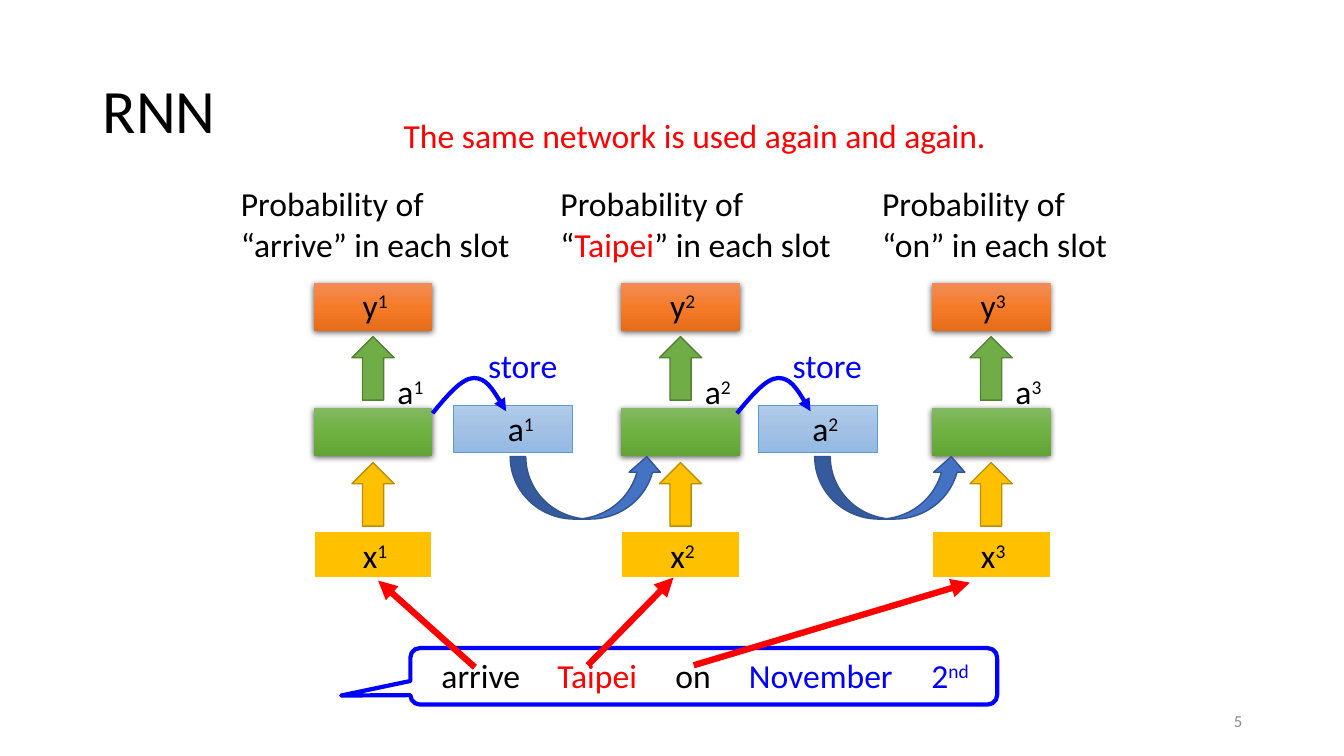
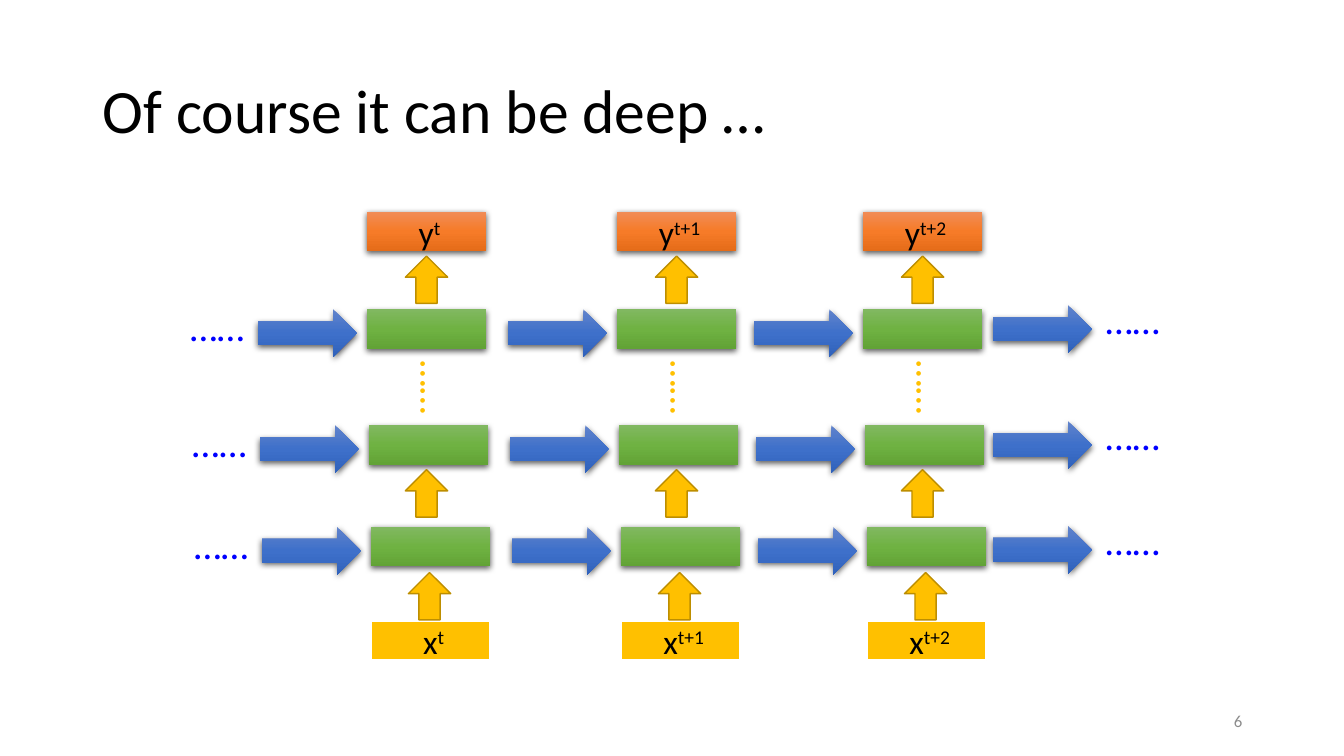
from copy import deepcopy

from lxml import etree
from pptx import Presentation
from pptx.dml.color import RGBColor
from pptx.enum.shapes import MSO_CONNECTOR, MSO_SHAPE
from pptx.enum.text import MSO_ANCHOR, PP_ALIGN
from pptx.oxml.ns import qn
from pptx.util import Inches, Pt

RECT = MSO_SHAPE.RECTANGLE
UP_ARROW = MSO_SHAPE.UP_ARROW
RIGHT_ARROW = MSO_SHAPE.RIGHT_ARROW
CURVED_ARROW = MSO_SHAPE.CURVED_UP_ARROW
CALLOUT = MSO_SHAPE.ROUNDED_RECTANGULAR_CALLOUT
STRAIGHT = MSO_CONNECTOR.STRAIGHT
LEFT, CENTER, RIGHT = PP_ALIGN.LEFT, PP_ALIGN.CENTER, PP_ALIGN.RIGHT
MIDDLE = MSO_ANCHOR.MIDDLE

rgb = RGBColor.from_string
FONT = "Calibri"
BLACK, RED, BLUE, AMBER, GREY = "000000", "FF0000", "0000FF", "FFC000", "8C8C8C"

# Block styles: fill colours, outline (colour, points), shadow
INPUT = ([AMBER], ("FFFFFF", 1.5), False)
HIDDEN = (["81B861", "6FB242", "62A336"], None, True)
OUTPUT = (["F18C57", "F67B28", "E56C19"], None, True)
MEMORY = (["B1CBE9", "A3C1E5", "93B9E4"], ("5B9BD5", 0.5), False)
TIME_STEP = (["6183CB", "3E70CA", "3062BB"], None, True)
INPUT_ARROW = ([AMBER], ("BD8E00", 1), False)
OUTPUT_ARROW = (["70AD47"], ("538035", 1), False)
RECALL_ARROW = (["4472C4"], ("325491", 1), False)
SPEECH = ([], (BLUE, 3), False)


def add_block(slide, preset, box, style):
    """Add a preset shape; box is left, top, width, height in inches."""
    colours, outline, shadow = style
    block = slide.shapes.add_shape(preset, *[Inches(v) for v in box])
    block.shadow.inherit = False
    properties = block._element.spPr
    if len(colours) == 1:
        block.fill.solid()
        block.fill.fore_color.rgb = rgb(colours[0])
    elif colours:
        block.fill.gradient()
        block.fill.gradient_angle = 270
        stops = properties.find(qn("a:gradFill")).find(qn("a:gsLst"))
        stops.append(deepcopy(stops[0]))
        for stop, colour, position in zip(block.fill.gradient_stops, colours, (0, 0.5, 1)):
            stop.position = position
            stop.color.rgb = rgb(colour)
    else:
        block.fill.background()
    if outline:
        block.line.color.rgb = rgb(outline[0])
        block.line.width = Pt(outline[1])
    else:
        block.line.fill.background()
    if shadow:
        outer = etree.SubElement(
            properties.find(qn("a:effectLst")), qn("a:outerShdw"),
            blurRad=str(Pt(4.5)), dist=str(Pt(1.5)), dir="5400000",
            algn="ctr", rotWithShape="0")
        tint = etree.SubElement(outer, qn("a:srgbClr"), val=BLACK)
        etree.SubElement(tint, qn("a:alpha"), val="63000")
    return block


def add_text(slide, box, words, size=24, colour=BLACK, align=CENTER, tabs=()):
    """Add text; words is a string or (text, colour) pairs, ^ starts a superscript."""
    label = slide.shapes.add_textbox(*[Inches(v) for v in box])
    label.text_frame.word_wrap = True
    paragraph = label.text_frame.paragraphs[0]
    paragraph.alignment = align
    if tabs:
        stops = etree.SubElement(paragraph._p.get_or_add_pPr(), qn("a:tabLst"))
        for tab in tabs:
            etree.SubElement(stops, qn("a:tab"), pos=str(Inches(tab)), algn="l")
    paragraph.font.name = FONT
    paragraph.font.size = Pt(size)
    pairs = words
    if isinstance(words, str):
        paragraph.font.color.rgb = rgb(colour)
        pairs = [(words, None)]
    for text, run_colour in pairs:
        for level, part in enumerate(text.split("^")):
            run = paragraph.add_run()
            run.text = part
            if run_colour:
                run.font.color.rgb = rgb(run_colour)
            if level:
                run._r.get_or_add_rPr().set("baseline", "30000")
    return label


prs = Presentation()
prs.slide_width, prs.slide_height = Inches(13.33), Inches(7.5)

# Titles and page numbers
for number, heading in ((5, "RNN"), (6, "Of course it can be deep …")):
    slide = prs.slides.add_slide(prs.slide_layouts[5])
    title = slide.shapes.title
    title.left, title.top = Inches(0.92), Inches(0.4)
    title.width, title.height = Inches(11.5), Inches(1.45)
    title.text_frame.text = heading
    title.text_frame.vertical_anchor = MIDDLE
    line = title.text_frame.paragraphs[0]
    line.alignment = LEFT
    line.line_spacing = 0.9
    line.font.name = FONT
    line.font.size = Pt(44)
    line.font.color.rgb = rgb(BLACK)
    page = add_text(slide, (9.42, 6.95, 3, 0.4), str(number), 12, GREY, RIGHT)
    page.text_frame.vertical_anchor = MIDDLE

rnn, deep = prs.slides
BLOCK_WIDTH, ARROW_WIDTH, LABEL_WIDTH, LABEL_HEIGHT = 1.18, 0.42, 0.99, 0.5

# RNN: one column of input, hidden and output per word
for step, centre in enumerate((3.7, 6.75, 9.83), start=1):
    block_left = centre - BLOCK_WIDTH / 2
    arrow_left = centre - ARROW_WIDTH / 2
    label_left = centre - LABEL_WIDTH / 2 + 0.02
    for top, style in ((5.27, INPUT), (4.05, HIDDEN), (2.81, OUTPUT)):
        add_block(rnn, RECT, (block_left, top, BLOCK_WIDTH, 0.47), style)
    for top, style in ((4.59, INPUT_ARROW), (3.34, OUTPUT_ARROW)):
        add_block(rnn, UP_ARROW, (arrow_left, top, ARROW_WIDTH, 0.63), style)
    for left, top, name in ((label_left, 5.26, "x"), (label_left, 2.78, "y"),
                            (label_left + 0.35, 3.63, "a")):
        add_text(rnn, (left, top, LABEL_WIDTH, LABEL_HEIGHT), f"{name}^{step}")

# RNN: the hidden state is stored and fed to the next step
CURVE = ((0.14, -0.17), (0.29, -0.35), (0.41, -0.35),
         (0.53, -0.35), (0.63, -0.19), (0.73, -0.02))
for step, start in enumerate((4.29, 7.31), start=1):
    add_block(rnn, RECT, (start + 0.21, 4.02, BLOCK_WIDTH, 0.47), MEMORY)
    add_text(rnn, (start + 0.38, 4, LABEL_WIDTH, LABEL_HEIGHT), f"a^{step}")
    add_text(rnn, (start + 0.32, 3.37, 1.15, LABEL_HEIGHT), "store", colour=BLUE)
    add_block(rnn, CURVED_ARROW, (start + 0.77, 4.53, 1.51, 0.62), RECALL_ARROW)

    builder = rnn.shapes.build_freeform(Inches(start), Inches(4.1))
    builder.add_line_segments(
        [(Inches(start + dx), Inches(4.1 + dy)) for dx, dy in CURVE], close=False)
    store_arrow = builder.convert_to_shape()
    store_arrow.shadow.inherit = False
    store_arrow.fill.background()
    store_arrow.line.color.rgb = rgb(BLUE)
    store_arrow.line.width = Pt(3)
    etree.SubElement(store_arrow.line._get_or_add_ln(), qn("a:tailEnd"), type="triangle")
    # Every three points become one Bézier segment
    outline = next(store_arrow._element.iter(qn("a:path")))
    points = outline.findall(qn("a:lnTo"))
    for first in range(0, len(points), 3):
        segment = etree.SubElement(outline, qn("a:cubicBezTo"))
        for point in points[first:first + 3]:
            segment.append(point[0])
            outline.remove(point)

# RNN: sentence in the speech bubble
add_text(rnn, (4.28, 6.45, 5.61, LABEL_HEIGHT),
         [("arrive\t", BLACK), ("Taipei\t", RED), ("on\t", BLACK),
          ("November\t2^nd", BLUE)],
         align=LEFT, tabs=(1.15, 2.32, 3.05, 4.86))
bubble = add_block(rnn, CALLOUT, (4.07, 6.43, 5.82, 0.56), SPEECH)
for index, value in enumerate((-0.618, 0.341, 0.167)):
    bubble.adjustments[index] = value

for ends in ((4.71, 6.62, 3.75, 5.76), (5.83, 6.6, 6.68, 5.73), (6.88, 6.6, 9.62, 5.78)):
    word_arrow = rnn.shapes.add_connector(STRAIGHT, *[Inches(v) for v in ends])
    word_arrow.line.color.rgb = rgb(RED)
    word_arrow.line.width = Pt(4.5)
    etree.SubElement(word_arrow.line._get_or_add_ln(), qn("a:tailEnd"), type="triangle")
    etree.SubElement(word_arrow._element.spPr, qn("a:effectLst"))

# RNN: remarks above the network
add_text(rnn, (3.9, 1.09, 5.98, LABEL_HEIGHT),
         "The same network is used again and again.", colour=RED)
for left, width, word, colour in ((2.29, 2.95, "arrive", BLACK),
                                  (5.46, 2.95, "Taipei", RED),
                                  (8.65, 2.55, "on", BLACK)):
    add_text(rnn, (left, 1.77, width, 0.91),
             [("Probability of “", BLACK), (word, colour), ("” in each slot", BLACK)],
             align=LEFT)

# Deep network: layers as (top, shift to the right, top of the last arrow)
LAYERS = ((3.07, 0, 3.03), (4.22, 0.02, 4.18), (5.23, 0.04, 5.22))
COLUMNS = ((4.23, "t"), (6.71, "t+1"), (9.15, "t+2"))
DOTS = "……"
for top, shift, exit_top in LAYERS:
    for centre, _ in COLUMNS:
        middle = centre + shift
        add_block(deep, RECT, (middle - BLOCK_WIDTH / 2, top, BLOCK_WIDTH, 0.39), HIDDEN)
        add_block(deep, RIGHT_ARROW, (middle - 1.67, top, 0.98, 0.47), TIME_STEP)
    add_block(deep, RIGHT_ARROW, (9.85, exit_top, 0.98, 0.47), TIME_STEP)
    for left, dots_top in ((1.67 + shift, top - 0.12), (10.75, exit_top - 0.15)):
        add_text(deep, (left, dots_top, 0.97, 0.57), DOTS, 28, BLUE)

# Deep network: inputs, outputs and upward arrows
for centre, time in COLUMNS:
    for middle, top, style, name in ((centre + 0.04, 6.16, INPUT, "x"),
                                     (centre, 2.1, OUTPUT, "y")):
        add_block(deep, RECT, (middle - BLOCK_WIDTH / 2, top, BLOCK_WIDTH, 0.39), style)
        add_text(deep, (middle - LABEL_WIDTH / 2 + 0.03, top - 0.05,
                        LABEL_WIDTH, LABEL_HEIGHT), f"{name}^{time}")
    for top, shift in ((2.54, 0), (4.66, 0), (5.68, 0.03)):
        add_block(deep, UP_ARROW,
                  (centre + shift - ARROW_WIDTH / 2, top, ARROW_WIDTH, 0.47), INPUT_ARROW)
    more_layers = add_text(deep, (centre - 0.39, 3.56, 0.97, 0.57), DOTS, 28, AMBER)
    more_layers.rotation = 90

prs.save("out.pptx")
